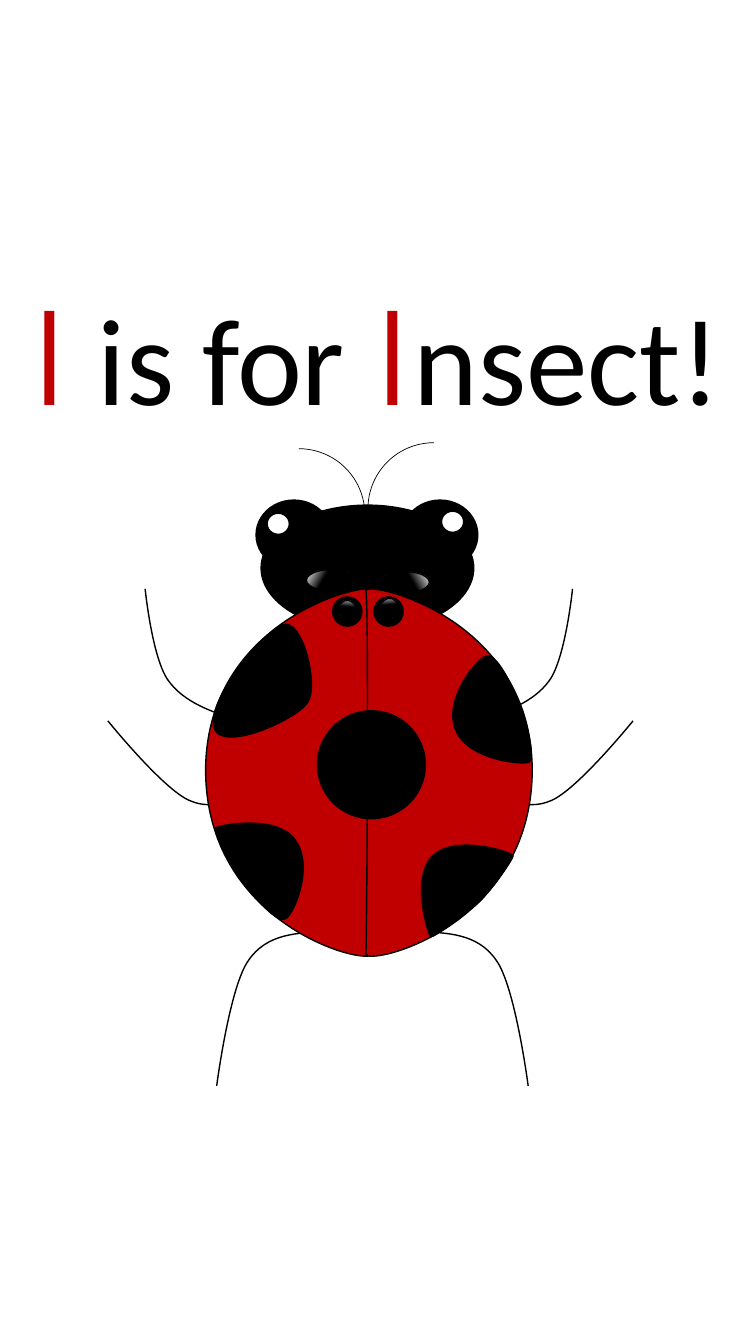
from lxml import etree
from pptx import Presentation
from pptx import util as u
from pptx.dml.color import RGBColor
from pptx.enum import shapes, text
from pptx.oxml.ns import qn

BLACK, WHITE, RED = "000000", "FFFFFF", "C00000"


def rgb(value):
    return RGBColor.from_string(value)


def mirror(points, total):
    """Reflect points left to right; total is the sum of paired x values."""
    return [(total - x, y) for x, y in points]


class Drawing:
    def __init__(self, slide, line_width=1):
        self.s = slide
        self.line_width = line_width

    def style(self, sp, fill=None, width=None):
        sp.shadow.inherit = False
        if fill:
            sp.fill.solid()
            sp.fill.fore_color.rgb = rgb(fill)
        else:
            sp.fill.background()
        sp.line.color.rgb = rgb(BLACK)
        sp.line.width = u.Pt(width or self.line_width)
        return sp

    def title(self, box, runs):
        sp = self.s.shapes.title
        sp.left, sp.top, sp.width, sp.height = map(u.Inches, box)
        tf = sp.text_frame
        for name, value in {"word_wrap": True, "auto_size": text.MSO_AUTO_SIZE.SHAPE_TO_FIT_TEXT,
                            "vertical_anchor": text.MSO_ANCHOR.TOP}.items():
            setattr(tf, name, value)
        p = tf.paragraphs[0]
        p.alignment = text.PP_ALIGN.CENTER
        for words, size, font, color, outlined in runs:
            r = p.add_run()
            r.text = words
            for name, value in {"size": u.Pt(size), "name": font}.items():
                setattr(r.font, name, value)
            r.font.color.rgb = rgb(color)
            if outlined:
                ln = etree.Element(qn("a:ln"), w=str(u.Pt(0.75)))
                solid = etree.SubElement(ln, qn("a:solidFill"))
                etree.SubElement(solid, qn("a:srgbClr"), val=BLACK)
                r.font._element.insert(0, ln)

    def preset(self, kind, box, fill=None, width=None, rotation=0):
        sp = self.s.shapes.add_shape(kind, *map(u.Inches, box))
        sp.rotation = rotation
        return self.style(sp, fill, width)

    def ellipse(self, box, fill=BLACK):
        return self.preset(shapes.MSO_SHAPE.OVAL, box, fill)

    def antenna(self, box, rotation):
        return self.preset(shapes.MSO_SHAPE.ARC, box, width=0.5, rotation=rotation)

    def shine(self, box, rotation=0, flip=False):
        sp = self.ellipse(box)
        sp.rotation = rotation
        sp.fill.gradient()
        sp.fill.gradient_angle = 210
        for stop, (position, color) in zip(sp.fill.gradient_stops, [(0, WHITE), (0.38, BLACK)]):
            stop.position = position
            stop.color.rgb = rgb(color)
        if flip:
            sp._element.spPr.find(qn("a:xfrm")).set("flipH", "1")

    def curve(self, points, fill=None):
        """A start point, then three points for each Bezier segment."""
        start, *rest = [(u.Inches(x), u.Inches(y)) for x, y in points]
        builder = self.s.shapes.build_freeform(*start)
        builder.add_line_segments(rest, close=bool(fill))
        sp = builder.convert_to_shape()
        outline = sp._element.find(".//" + qn("a:path"))
        lines = outline.findall(qn("a:lnTo"))
        for i in range(0, len(rest), 3):
            bezier = etree.Element(qn("a:cubicBezTo"))
            lines[i].addprevious(bezier)
            for line in lines[i:i + 3]:
                bezier.append(line[0])
                outline.remove(line)
        return self.style(sp, fill)


def main():
    prs = Presentation()
    prs.slide_width, prs.slide_height = u.Inches(7.5), u.Inches(13.33)
    d = Drawing(prs.slides.add_slide(prs.slide_layouts[5]))

    # Title
    initial = ("I", 96, "Montserrat", RED, True)
    d.title((-0.95, 2.64, 9.62, 1.72), [
        initial, (" ", 88, "Calibri", "FF0000", False), ("is for ", 88, "Calibri", BLACK, False),
        initial, ("nsect! ", 88, "Calibri", BLACK, False)])

    # Legs: left side, with the sum of x values for the right side
    legs = [
        ([(3.25, 9.24), (2.95, 9.25), (2.65, 9.26), (2.47, 9.52),
          (2.28, 9.77), (2.15, 10.77), (2.15, 10.77)], 7.39),
        ([(2.58, 7.78), (2.36, 7.92), (2.13, 8.05), (1.88, 7.94),
          (1.62, 7.83), (1.07, 7.15), (1.07, 7.15)], 7.35),
        ([(2.38, 7.15), (2.1, 7.06), (1.83, 6.97), (1.67, 6.75),
          (1.51, 6.53), (1.44, 5.84), (1.44, 5.84)], 7.12)]
    for leg, total in legs:
        d.curve(leg)
        d.curve(mirror(leg, total))

    # Antennae and head
    d.antenna((3.65, 4.39, 1.31, 1.31), 270)
    d.antenna((2.31, 4.45, 1.31, 1.31), 0)
    d.ellipse((2.59, 5.01, 2.11, 1.25))

    # Wings
    wing = [(2.04, 7.66), (2.03, 6.1), (3.72, 5.75), (3.69, 5.86), (3.66, 5.97),
            (3.68, 9.33), (3.69, 9.46), (3.7, 9.59), (2.06, 9.22), (2.04, 7.66)]
    d.curve(wing, RED)
    d.curve(mirror(wing, 7.32), RED)

    # Wing spots
    d.ellipse((3.15, 7.05, 1.07, 1.07))
    spots = [
        [(4.29, 8.49), (4.52, 8.27), (5.08, 8.45), (5.09, 8.49), (5.09, 8.52), (4.89, 8.81),
         (4.76, 8.94), (4.62, 9.07), (4.29, 9.31), (4.27, 9.29), (4.25, 9.26), (4.07, 8.72),
         (4.29, 8.49)],
        [(2.92, 8.32), (3.12, 8.57), (2.93, 9.04), (2.84, 9.11), (2.76, 9.18), (2.52, 8.89),
         (2.4, 8.74), (2.28, 8.59), (2.11, 8.24), (2.14, 8.21), (2.16, 8.19), (2.73, 8.07),
         (2.92, 8.32)],
        [(4.52, 7.24), (4.4, 6.95), (4.71, 6.55), (4.82, 6.51), (4.92, 6.46), (5.08, 6.8),
         (5.15, 6.97), (5.23, 7.15), (5.31, 7.53), (5.25, 7.56), (5.19, 7.59), (4.64, 7.54),
         (4.52, 7.24)],
        [(3.05, 6.97), (2.94, 7.14), (2.18, 7.48), (2.12, 7.21), (2.06, 6.94), (2.59, 6.29),
         (2.8, 6.2), (3, 6.11), (3.17, 6.81), (3.05, 6.97)]]
    for spot in spots:
        d.curve(spot, BLACK)

    # Eyes and pupils
    for eye_x, pupil_x, pupil_y in [(3.99, 4.38, 5.07), (2.54, 2.65, 5.09)]:
        d.ellipse((eye_x, 4.96, 0.75, 0.69))
        d.ellipse((pupil_x, pupil_y, 0.22, 0.21), WHITE)

    # Shines on the head, then the two small dots with theirs
    d.shine((3.78, 5.67, 0.48, 0.21))
    d.shine((3.04, 5.65, 0.48, 0.21), flip=True)
    for dot_x in (3.3, 3.71):
        d.ellipse((dot_x, 5.92, 0.29, 0.29))
    d.shine((3.75, 5.95, 0.21, 0.17), 295.3)
    d.shine((3.35, 5.97, 0.21, 0.17), 64.7, flip=True)

    prs.save("out.pptx")


if __name__ == "__main__":
    main()
